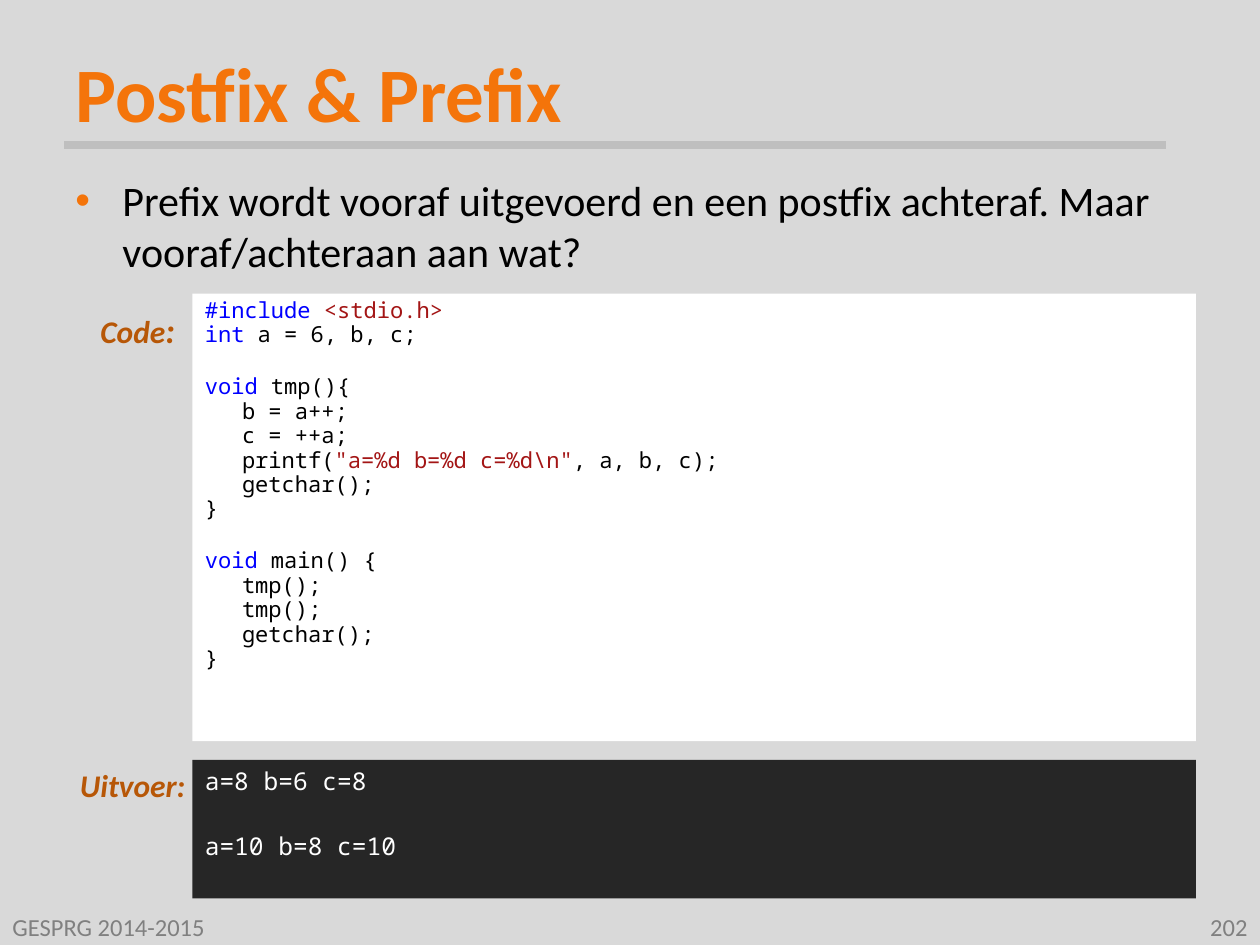
from lxml import etree
from pptx import Presentation
from pptx import util as u
from pptx.dml.color import RGBColor
from pptx.enum import shapes, text
from pptx.oxml.ns import qn

# Content
TITLE = "Postfix & Prefix"
BODY = "Prefix wordt vooraf uitgevoerd en een postfix achteraf. Maar vooraf/achteraan aan wat?"
BLACK, BLUE, RED = "000000", "0000FF", "A31515"
WHITE, DARK, GREY, LIGHT = "FFFFFF", "262626", "808080", "D9D9D9"
ORANGE, BROWN, RULE = "F4740A", "B75707", "BFBFBF"

# Blocks are separated by a gap; each line is a list of (text, colour)
CODE = [
    [
        [("#include", BLUE), (" ", BLACK), ("<stdio.h>", RED)],
        [("int", BLUE), (" a = 6, b, c;", BLACK)],
    ],
    [
        [("void", BLUE), (" tmp(){", BLACK)],
        [("\tb = a++;", BLACK)],
        [("\tc = ++a;", BLACK)],
        [("\tprintf(", BLACK), ('"a=%d b=%d c=%d\\n"', RED), (", a, b, c);", BLACK)],
        [("\tgetchar();", BLACK)],
        [("}", BLACK)],
    ],
    [
        [("void", BLUE), (" main() {", BLACK)],
        [("\ttmp();", BLACK)],
        [("\ttmp();", BLACK)],
        [("\tgetchar();", BLACK)],
        [("}", BLACK)],
    ],
]
OUTPUT = [[[("a=8 b=6 c=8", WHITE)]], [[("a=10 b=8 c=10", WHITE)]]]
FOOTER, PAGE = "GESPRG 2014-2015", "202"

SANS, MONO = "Calibri", "Noto Sans Mono"
LEFT, MIDDLE, RIGHT = text.PP_ALIGN.LEFT, text.MSO_ANCHOR.MIDDLE, text.PP_ALIGN.RIGHT
WIDTH, HEIGHT = 25.4, 19.05
PANEL_LEFT, PANEL_WIDTH = 3.88, 20.23
FOOTER_WIDTH, FOOTER_HEIGHT = 5.92, 0.74


def colour(value):
    return RGBColor.from_string(value)


def add_box(left, top, width, height, fill=None, anchor=text.MSO_ANCHOR.TOP):
    place = [u.Cm(length) for length in (left, top, width, height)]
    if fill:
        shape = slide.shapes.add_shape(shapes.MSO_SHAPE.RECTANGLE, *place)
        shape.shadow.inherit = False
        shape.fill.solid()
        shape.fill.fore_color.rgb = colour(fill)
        shape.line.fill.background()
    else:
        shape = slide.shapes.add_textbox(*place)
    frame = shape.text_frame
    frame.word_wrap = True
    frame.vertical_anchor = anchor
    frame.paragraphs[0].alignment = LEFT
    return frame


def add_run(paragraph, content, size, value, name=SANS, bold=False, italic=False):
    run = paragraph.add_run()
    run.text = content
    font = run.font
    font.name, font.size, font.bold, font.italic = name, u.Pt(size), bold, italic
    font.color.rgb = colour(value)


def add_element(parent, tag, **attributes):
    return etree.SubElement(parent, qn(tag), **attributes)


def add_listing(frame, blocks, size, line_spacing, line_gap, block_gap):
    first = True
    for block in blocks:
        for index, line in enumerate(block):
            paragraph = frame.paragraphs[0] if first else frame.add_paragraph()
            paragraph.alignment = LEFT
            paragraph.line_spacing = line_spacing
            if not first:
                paragraph.space_before = u.Pt(line_gap if index else block_gap)
            tabs = add_element(paragraph._p.get_or_add_pPr(), "a:tabLst")
            add_element(tabs, "a:tab", pos=str(u.Cm(0.75)), algn="l")
            for content, value in line:
                add_run(paragraph, content, size, value, MONO)
            first = False


presentation = Presentation()
presentation.slide_width, presentation.slide_height = u.Cm(WIDTH), u.Cm(HEIGHT)
slide = presentation.slides.add_slide(presentation.slide_layouts[6])
slide.background.fill.solid()
slide.background.fill.fore_color.rgb = colour(LIGHT)

# Title and rule
title = add_box(1.27, 0.76, 22.86, 2.16, anchor=MIDDLE)
add_run(title.paragraphs[0], TITLE, 44, ORANGE, bold=True)
rule = slide.shapes.add_connector(
    shapes.MSO_CONNECTOR.STRAIGHT, u.Cm(1.3), u.Cm(2.92), u.Cm(23.5), u.Cm(2.92))
rule.line.color.rgb = colour(RULE)
rule.line.width = u.Pt(4.5)
add_element(rule._element.spPr, "a:effectLst")

# Bulleted question
paragraph = add_box(1.27, 3.4, 22.86, 2.13, LIGHT).paragraphs[0]
properties = paragraph._p.get_or_add_pPr()
properties.set("marL", str(u.Cm(0.95)))
properties.set("indent", str(u.Cm(-0.95)))
add_element(add_element(properties, "a:buClr"), "a:srgbClr", val=ORANGE)
add_element(properties, "a:buFont", typeface="Arial")
add_element(properties, "a:buChar", char="•")
add_run(paragraph, BODY, 24, BLACK)

# Panel labels
for left, top, width, height, parts in (
    (1.19, 6.1, 2.59, 3.68, [("Code", 18), (":", 20)]),
    (1.02, 15.32, 2.97, 1.8, [("Uitvoer:", 18)]),
):
    paragraph = add_box(left, top, width, height).paragraphs[0]
    paragraph.alignment = RIGHT
    for content, size in parts:
        add_run(paragraph, content, size, BROWN, bold=True, italic=True)

# Output and code panels
output = add_box(PANEL_LEFT, 15.32, PANEL_WIDTH, 2.79, DARK)
add_listing(output, OUTPUT, 14, 1.0, 0, 20.3)
code = add_box(PANEL_LEFT, 5.92, PANEL_WIDTH, 9.02, WHITE)
add_listing(code, CODE, 12.6, 0.87, 0.8, 16.5)

# Footer and page number
for left, content, alignment in (
    (0, FOOTER, LEFT), (WIDTH - FOOTER_WIDTH, PAGE, RIGHT),
):
    frame = add_box(left, HEIGHT - FOOTER_HEIGHT, FOOTER_WIDTH, FOOTER_HEIGHT, anchor=MIDDLE)
    frame.paragraphs[0].alignment = alignment
    add_run(frame.paragraphs[0], content, 14, GREY)

presentation.save("out.pptx")
